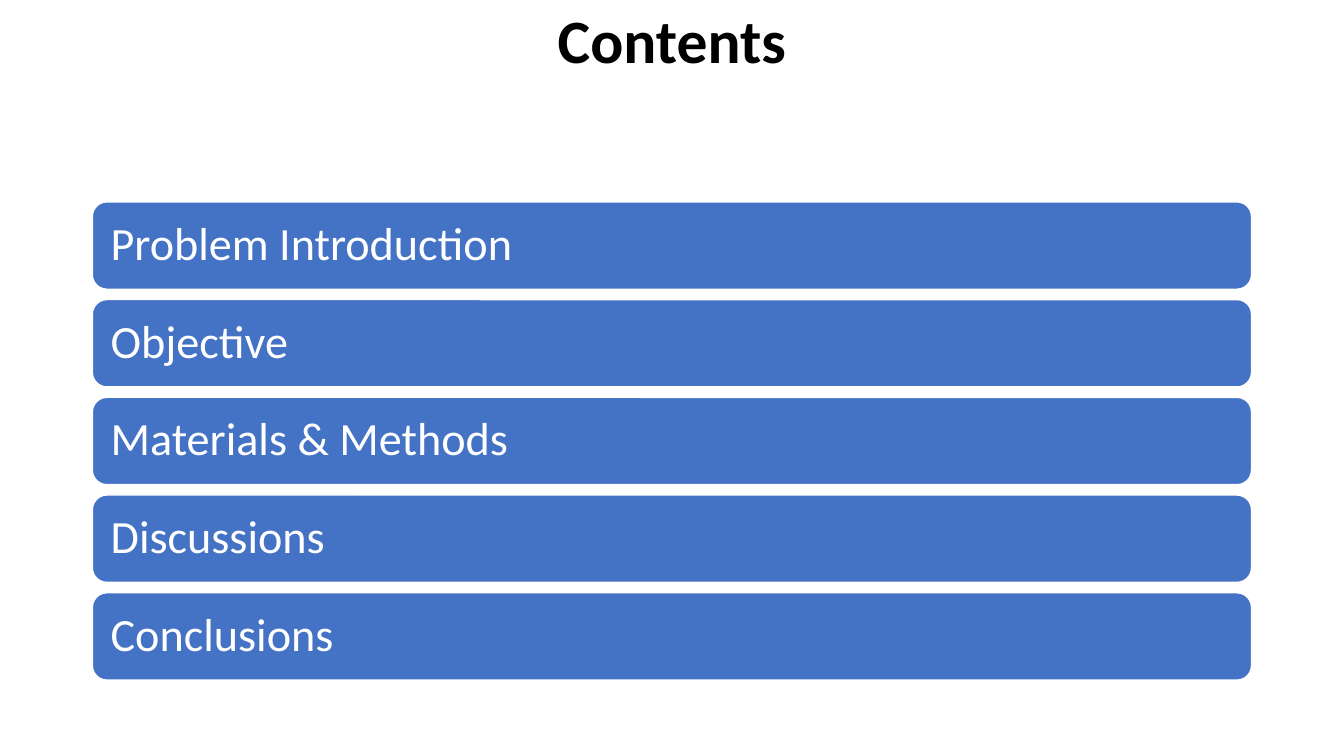
from pptx import Presentation
from pptx.dml.color import RGBColor
from pptx.enum import shapes, text
from pptx.util import Pt

TOPICS = ["Problem Introduction", "Objective", "Materials & Methods", "Discussions", "Conclusions"]
LEFT, WIDTH = 66, 828
FIRST_TOP, BAR_HEIGHT, PITCH = 144.2, 62.4, 69.8


def color(value):
    """Return the colour for a hex string."""
    return RGBColor.from_string(value)


def write(shape, content, size, ink, bold=False, align=text.PP_ALIGN.LEFT, inset=10):
    """Put one formatted, vertically centred line of text into a shape."""
    frame = shape.text_frame
    frame.word_wrap = True
    frame.vertical_anchor = text.MSO_ANCHOR.MIDDLE
    frame.margin_left = frame.margin_right = Pt(inset)
    frame.margin_top = frame.margin_bottom = Pt(inset)
    paragraph = frame.paragraphs[0]
    paragraph.alignment = align
    paragraph.line_spacing = 0.9
    run = paragraph.add_run()
    run.text = content
    run.font.name = "Calibri"
    run.font.size = Pt(size)
    run.font.bold = bold
    run.font.color.rgb = color(ink)


def add_title(slide, content):
    """Add the centred slide title."""
    box = slide.shapes.add_textbox(Pt(LEFT), Pt(0.7), Pt(WIDTH), Pt(61.2))
    write(box, content, 44, "000000", bold=True, align=text.PP_ALIGN.CENTER, inset=3.6)


def add_topic_bar(slide, top, content):
    """Add one rounded bar that names a topic."""
    bar = slide.shapes.add_shape(
        shapes.MSO_SHAPE.ROUNDED_RECTANGLE, Pt(LEFT), Pt(top), Pt(WIDTH), Pt(BAR_HEIGHT)
    )
    bar.shadow.inherit = False
    bar.fill.solid()
    bar.fill.fore_color.rgb = color("4472C4")
    bar.line.color.rgb = color("FFFFFF")
    bar.line.width = Pt(1)
    write(bar, content, 33, "FFFFFF")


def main():
    """Build and save the contents slide."""
    presentation = Presentation()
    presentation.slide_width = Pt(960)
    presentation.slide_height = Pt(540)
    slide = presentation.slides.add_slide(presentation.slide_layouts[6])
    add_title(slide, "Contents")
    for index, topic in enumerate(TOPICS):
        add_topic_bar(slide, FIRST_TOP + index * PITCH, topic)
    presentation.save("out.pptx")


if __name__ == "__main__":
    main()
